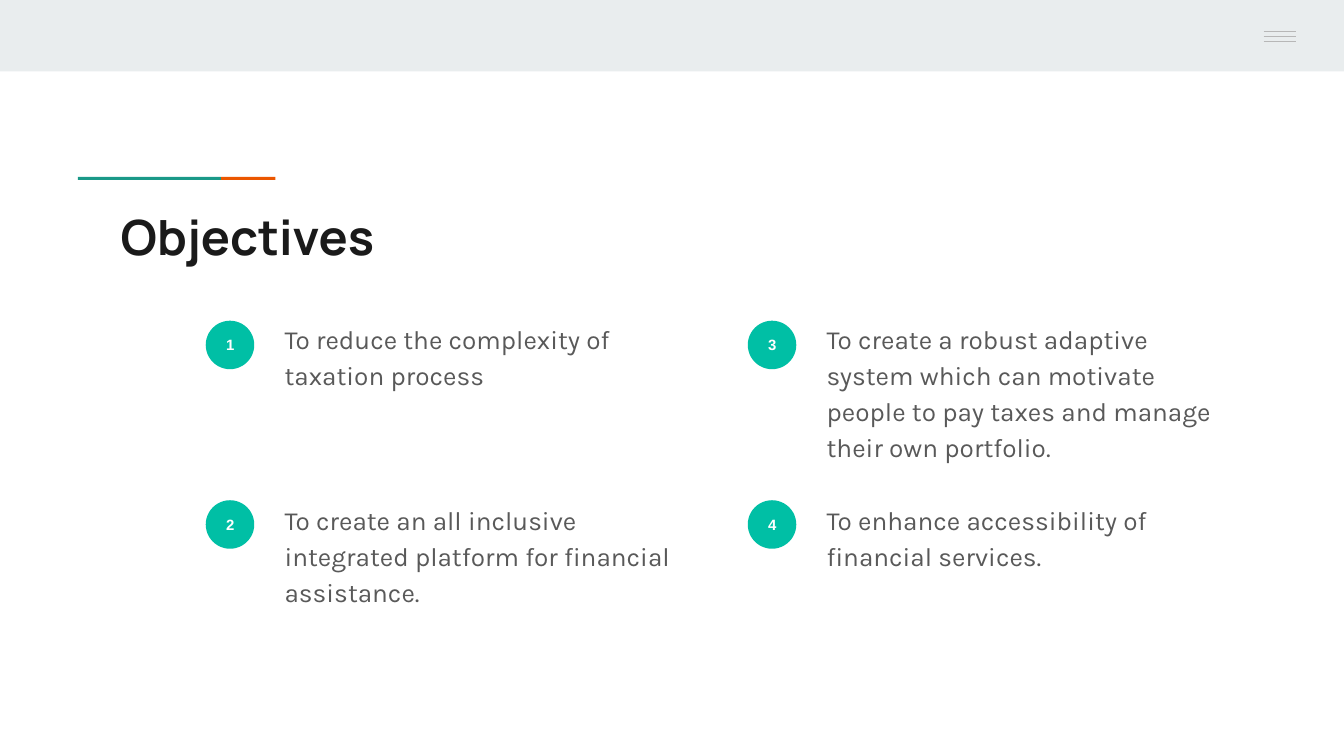
from lxml.etree import SubElement
from pptx import Presentation
from pptx.dml.color import RGBColor
from pptx.enum.shapes import MSO_CONNECTOR as Connector, MSO_SHAPE as Shape
from pptx.enum.text import MSO_ANCHOR as Anchor, PP_ALIGN as Align
from pptx.oxml.ns import qn
from pptx.util import Pt

WHITE = RGBColor(0xFF, 0xFF, 0xFF)
HEADER_GRAY = RGBColor(0xE9, 0xED, 0xEE)
MENU_GRAY = RGBColor(0xB7, 0xB7, 0xB7)
INK = RGBColor(0x1A, 0x1A, 0x1A)
BODY_GRAY = RGBColor(0x59, 0x59, 0x59)
GREEN = RGBColor(0x1A, 0x99, 0x88)
ORANGE = RGBColor(0xEB, 0x56, 0x00)
TEAL = RGBColor(0x00, 0xBF, 0xA5)

TITLE = {"name": "Manrope", "size": Pt(26), "bold": True, "color": INK}
NUMBER = {"name": "Arial", "size": Pt(8), "bold": True, "color": WHITE}
BODY = {"name": "Karla", "size": Pt(14), "bold": False, "color": BODY_GRAY}
BODY_SPACING = {"line_spacing": 1.15, "space_after": Pt(16)}

OBJECTIVES = [
    "To reduce the complexity of taxation process",
    "To create an all inclusive integrated platform for financial assistance.",
    "To create a robust adaptive system which can motivate people to pay taxes "
    "and manage their own portfolio.",
    "To enhance accessibility of financial services.",
]
ROWS = 2
COLUMN_STEP = 290.4
BADGE_ROW_STEP = 96.2
TEXT_ROW_STEP = 97.2


class SlideBuilder:
    """Draws styled elements on one slide, with all lengths in points."""

    inset = Pt(7.2)

    def __init__(self, slide):
        self.slide = slide

    def fill_text(self, shape, text, style, anchor=Anchor.TOP,
                  **paragraph_format):
        frame = shape.text_frame
        frame.word_wrap = True
        frame.vertical_anchor = anchor
        for side in ("left", "top", "right", "bottom"):
            setattr(frame, f"margin_{side}", self.inset)
        paragraph = frame.paragraphs[0]
        for name, value in paragraph_format.items():
            setattr(paragraph, name, value)
        run = paragraph.add_run()
        run.text = text
        for name, value in style.items():
            if name == "color":
                run.font.color.rgb = value
            else:
                setattr(run.font, name, value)

    def shape(self, kind, left, top, width, height, color):
        shape = self.slide.shapes.add_shape(
            kind, Pt(left), Pt(top), Pt(width), Pt(height))
        shape.shadow.inherit = False
        shape.fill.solid()
        shape.fill.fore_color.rgb = color
        shape.line.fill.background()
        return shape

    def text(self, left, top, width, height, text, style, **paragraph_format):
        box = self.slide.shapes.add_textbox(
            Pt(left), Pt(top), Pt(width), Pt(height))
        self.fill_text(box, text, style, **paragraph_format)

    def badge(self, left, top, number):
        circle = self.shape(Shape.OVAL, left, top, 26, 26, TEAL)
        self.fill_text(circle, str(number), NUMBER, Anchor.MIDDLE,
                       alignment=Align.CENTER)

    def horizontal_line(self, left, right, top, color, weight):
        line = self.slide.shapes.add_connector(
            Connector.STRAIGHT, Pt(left), Pt(top), Pt(right), Pt(top))
        line.line.color.rgb = color
        line.line.width = Pt(weight)
        SubElement(line._element.spPr, qn("a:effectLst"))


def main():
    presentation = Presentation()
    presentation.slide_width = Pt(720)
    presentation.slide_height = Pt(405)
    builder = SlideBuilder(
        presentation.slides.add_slide(presentation.slide_layouts[6]))

    builder.shape(Shape.RECTANGLE, 0, 0, 720, 38.3, HEADER_GRAY)
    for row in range(3):
        builder.horizontal_line(677, 694.3, 16.9 + 2.7 * row, MENU_GRAY, 0.75)

    builder.shape(Shape.RECTANGLE, 118.4, 94.8, 29.1, 1.6, ORANGE)
    builder.shape(Shape.RECTANGLE, 41.8, 94.8, 76.6, 1.6, GREEN)
    builder.text(57.6, 103.7, 605.5, 42.5, "Objectives", TITLE)

    for index, objective in enumerate(OBJECTIVES):
        column, row = divmod(index, ROWS)
        shift = column * COLUMN_STEP
        builder.badge(110.2 + shift, 171.8 + row * BADGE_ROW_STEP, index + 1)
        builder.text(145.4 + shift, 163.4 + row * TEXT_ROW_STEP, 223.2, 82.8,
                     objective, BODY, **BODY_SPACING)

    presentation.save("out.pptx")


if __name__ == "__main__":
    main()
